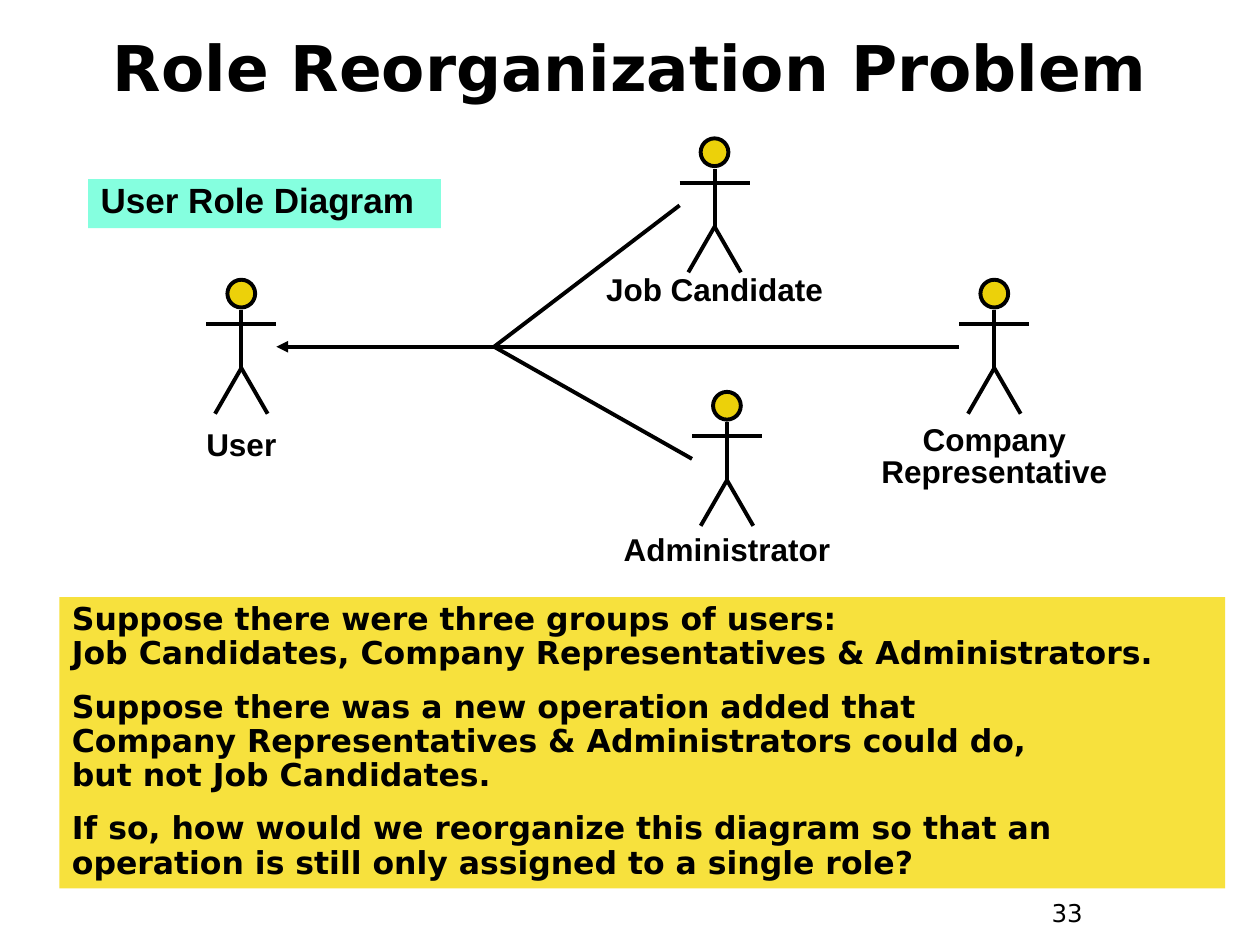
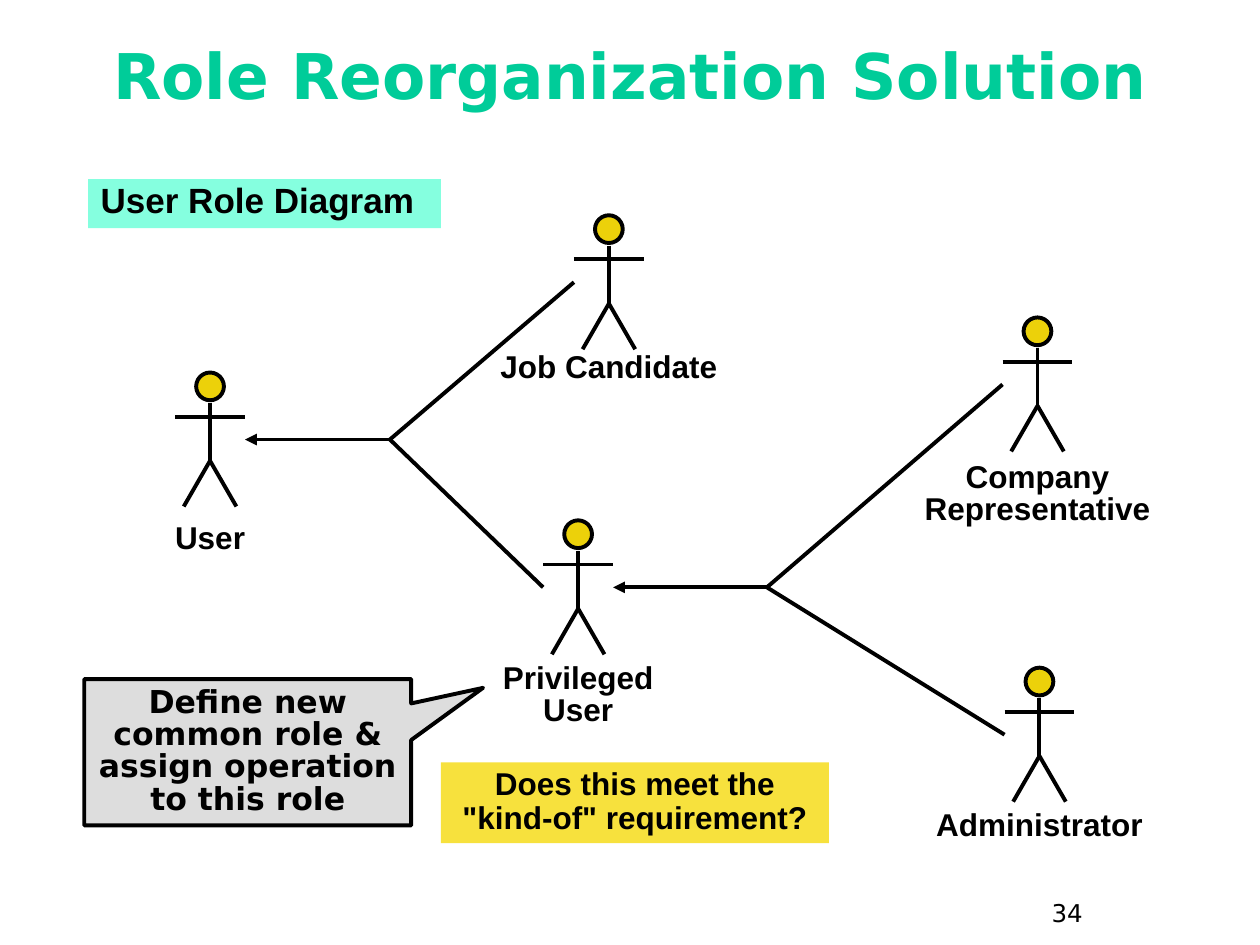
from lxml import etree
from pptx import Presentation
from pptx.dml.color import RGBColor
from pptx.enum.shapes import MSO_CONNECTOR, MSO_SHAPE
from pptx.enum.text import MSO_ANCHOR, MSO_AUTO_SIZE, PP_ALIGN
from pptx.oxml.ns import qn
from pptx.util import Cm, Pt

STRAIGHT = MSO_CONNECTOR.STRAIGHT
RECTANGLE, OVAL = MSO_SHAPE.RECTANGLE, MSO_SHAPE.OVAL
CALLOUT = MSO_SHAPE.RECTANGULAR_CALLOUT
LEFT, CENTER = PP_ALIGN.LEFT, PP_ALIGN.CENTER
TOP, MIDDLE = MSO_ANCHOR.TOP, MSO_ANCHOR.MIDDLE

BLACK = RGBColor(0x00, 0x00, 0x00)
GREEN = RGBColor(0x00, 0xCC, 0x99)
MINT = RGBColor(0x85, 0xFF, 0xDF)
YELLOW = RGBColor(0xF7, 0xE1, 0x3D)
GOLD = RGBColor(0xEC, 0xD1, 0x0A)
GREY = RGBColor(0xDD, 0xDD, 0xDD)
DIAGRAM_FONT, TEXT_FONT = "Arial", "DejaVu Sans"
LINE_WIDTH = Pt(2.25)

# Content; all lengths are in centimetres
# Role: label and its distance below the top of the figure
ROLES = {
    "user": ("User", 2.92),
    "candidate": ("Job Candidate", 2.64),
    "company": ("Company\nRepresentative", 2.81),
    "administrator": ("Administrator", 2.77),
    "privileged": ("Privileged\nUser", 2.77),
}

SLIDES = [
    {
        "title": ("Role Reorganization Problem", BLACK, 0.28),
        "number": "33",
        # Role: left and top of the figure
        "figures": {
            "candidate": (13.7, 2.79),
            "administrator": (13.95, 7.9),
            "user": (4.16, 5.64),
            "company": (19.34, 5.64),
        },
        # Parent, length of its arrow, children
        "generalizations": [
            ("user", 4.39, ["candidate", "company", "administrator"]),
        ],
        "boxes": [
            {
                "kind": RECTANGLE, "frame": (1.2, 12.04, 23.5, 5.87), "fill": YELLOW,
                "paragraphs": [
                    "Suppose there were three groups of users:\n"
                    "Job Candidates, Company Representatives & Administrators.",
                    "Suppose there was a new operation added that\n"
                    "Company Representatives & Administrators could do,\n"
                    "but not Job Candidates.",
                    "If so, how would we reorganize this diagram so that an "
                    "operation is still only assigned to a single role?",
                ],
                "style": {"font": TEXT_FONT, "spacing": 0.9, "before": 11.2},
            },
        ],
    },
    {
        "title": ("Role Reorganization Solution", GREEN, 0.43),
        "number": "34",
        "figures": {
            "candidate": (11.57, 4.34),
            "administrator": (20.25, 13.46),
            "user": (3.53, 7.51),
            "privileged": (10.95, 10.49),
            "company": (20.21, 6.4),
        },
        "generalizations": [
            ("user", 2.92, ["candidate", "privileged"]),
            ("privileged", 3.1, ["company", "administrator"]),
        ],
        "boxes": [
            {
                "kind": CALLOUT, "frame": (1.7, 13.69, 6.59, 2.95), "fill": GREY,
                "pointer": (0.72, -0.44),
                "paragraphs": ["Define new common role & assign operation to this role"],
                "style": {"font": TEXT_FONT, "alignment": CENTER, "anchor": MIDDLE},
            },
            {
                "kind": RECTANGLE, "frame": (8.89, 15.37, 7.82, 1.63), "fill": YELLOW,
                "paragraphs": ['Does this meet the "kind-of" requirement?'],
                "style": {"alignment": CENTER, "spacing": 0.9},
            },
        ],
    },
]

DIAGRAM_CAPTION = {
    "kind": RECTANGLE, "frame": (1.78, 3.61, 7.11, 0.99), "fill": MINT,
    "paragraphs": ["User Role Diagram"], "style": {"size": 20},
}

# Proportions of a stick figure, from its left and top
FIGURE_WIDTH, HEAD_SIZE = 1.41, 0.56
NECK, ARMS, PORT, HIP, FEET = 0.61, 0.89, 1.35, 1.78, 2.7
FOOT_SPREAD = 0.53
LABEL_WIDTH, LABEL_LINE, LABEL_MARGIN = 5.08, 0.64, 0.27


def cm(*values):
    return [Cm(value) for value in values]


def write(shape, paragraphs, font=DIAGRAM_FONT, size=18, bold=True, color=BLACK,
          alignment=LEFT, anchor=TOP, spacing=0.85, before=0):
    frame = shape.text_frame
    frame.word_wrap = True
    frame.auto_size = MSO_AUTO_SIZE.NONE
    frame.vertical_anchor = anchor
    for index, text in enumerate(paragraphs):
        paragraph = frame.add_paragraph() if index else frame.paragraphs[0]
        paragraph.text = text
        paragraph.alignment = alignment
        paragraph.line_spacing = spacing
        paragraph.space_before = Pt(before)
        paragraph.font.name = font
        paragraph.font.size = Pt(size)
        paragraph.font.bold = bold
        paragraph.font.color.rgb = color


def outline(shape):
    shape.line.color.rgb = BLACK
    shape.line.width = LINE_WIDTH


def add_line(shapes, start, end, arrow_at_start=False):
    connector = shapes.add_connector(STRAIGHT, *cm(*start, *end))
    outline(connector)
    properties = connector._element.spPr
    if arrow_at_start:
        etree.SubElement(properties.find(qn("a:ln")), qn("a:headEnd"), type="triangle")
    etree.SubElement(properties, qn("a:effectLst"))


def add_filled(shapes, kind, frame, fill):
    shape = shapes.add_shape(kind, *cm(*frame))
    shape.shadow.inherit = False
    shape.fill.solid()
    shape.fill.fore_color.rgb = fill
    return shape


def add_box(slide, box):
    shape = add_filled(slide.shapes, box["kind"], box["frame"], box["fill"])
    if "pointer" in box:
        outline(shape)
        for index, value in enumerate(box["pointer"]):
            shape.adjustments[index] = value
    else:
        shape.line.fill.background()
    write(shape, box["paragraphs"], **box["style"])


def add_figure(slide, role, left, top):
    center = left + FIGURE_WIDTH / 2
    hip = (center, top + HIP)
    parts = slide.shapes.add_group_shape().shapes
    head = add_filled(parts, OVAL, (center - HEAD_SIZE / 2, top, HEAD_SIZE, HEAD_SIZE), GOLD)
    outline(head)
    add_line(parts, (center, top + NECK), hip)
    for side in (-1, 1):
        add_line(parts, (center + side * FOOT_SPREAD, top + FEET), hip)
    add_line(parts, (left, top + ARMS), (left + FIGURE_WIDTH, top + ARMS))

    # Label centred under the figure
    text, drop = ROLES[role]
    height = LABEL_MARGIN + LABEL_LINE * len(text.split("\n"))
    label = slide.shapes.add_textbox(
        *cm(center - LABEL_WIDTH / 2, top + drop, LABEL_WIDTH, height))
    write(label, [text], alignment=CENTER)


def add_generalization(slide, figures, parent, reach, children):
    left, top = figures[parent]
    port = (left + FIGURE_WIDTH, top + PORT)
    joint = (port[0] + reach, port[1])
    add_line(slide.shapes, port, joint, arrow_at_start=True)
    for child in children:
        child_left, child_top = figures[child]
        add_line(slide.shapes, joint, (child_left, child_top + PORT))


def add_title_and_number(slide, title, number):
    text, color, top = title
    placeholder = slide.shapes.title
    placeholder.left, placeholder.top, placeholder.width, placeholder.height = cm(
        0.85, top, 23.7, 2.12)
    write(placeholder, [text], font=TEXT_FONT, size=36, color=color,
          alignment=CENTER, anchor=MIDDLE, spacing=1.0)
    number_box = slide.shapes.add_textbox(*cm(20.95, 17.98, 1.9, 0.94))
    write(number_box, [number], font=TEXT_FONT, size=14, bold=False, spacing=1.0)


def main():
    presentation = Presentation()
    presentation.slide_width, presentation.slide_height = cm(25.4, 19.05)
    title_only = presentation.slide_layouts[5]
    for content in SLIDES:
        slide = presentation.slides.add_slide(title_only)
        add_title_and_number(slide, content["title"], content["number"])
        for role, position in content["figures"].items():
            add_figure(slide, role, *position)
        for generalization in content["generalizations"]:
            add_generalization(slide, content["figures"], *generalization)
        for box in [*content["boxes"], DIAGRAM_CAPTION]:
            add_box(slide, box)
    presentation.save("out.pptx")


if __name__ == "__main__":
    main()
